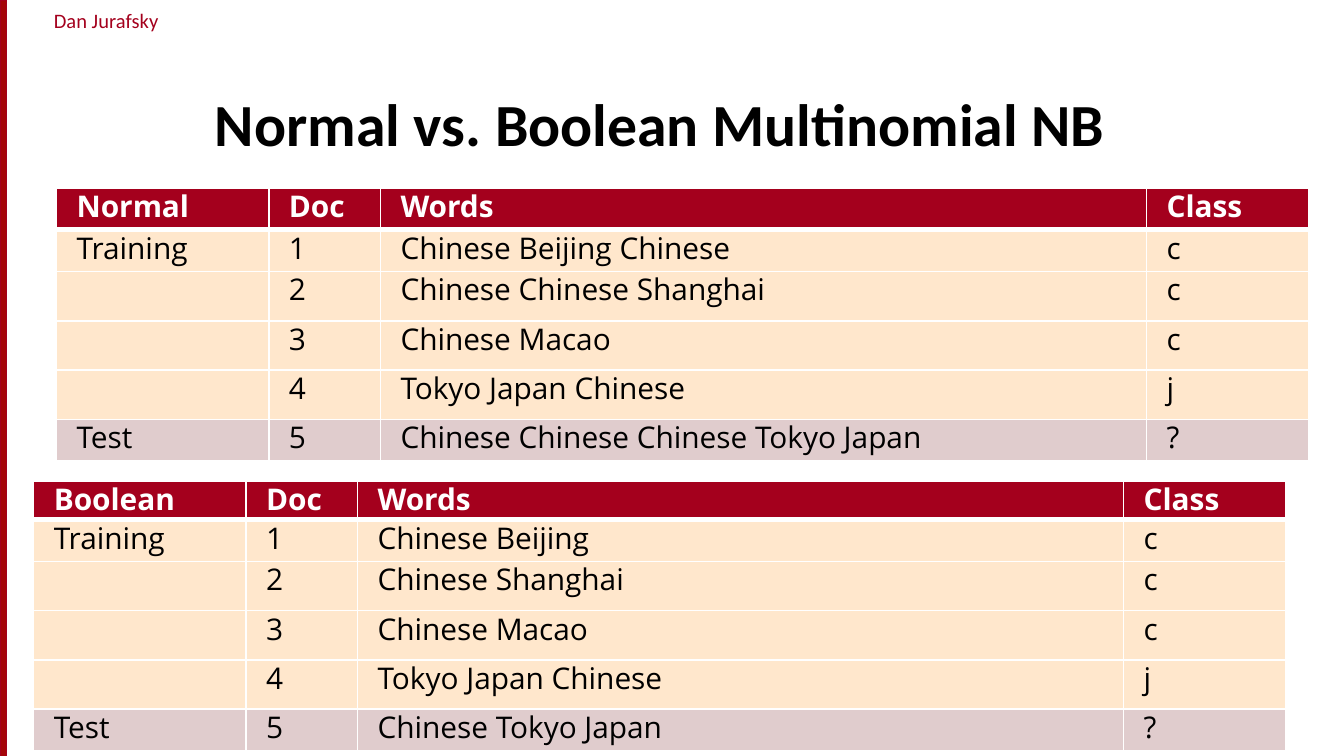
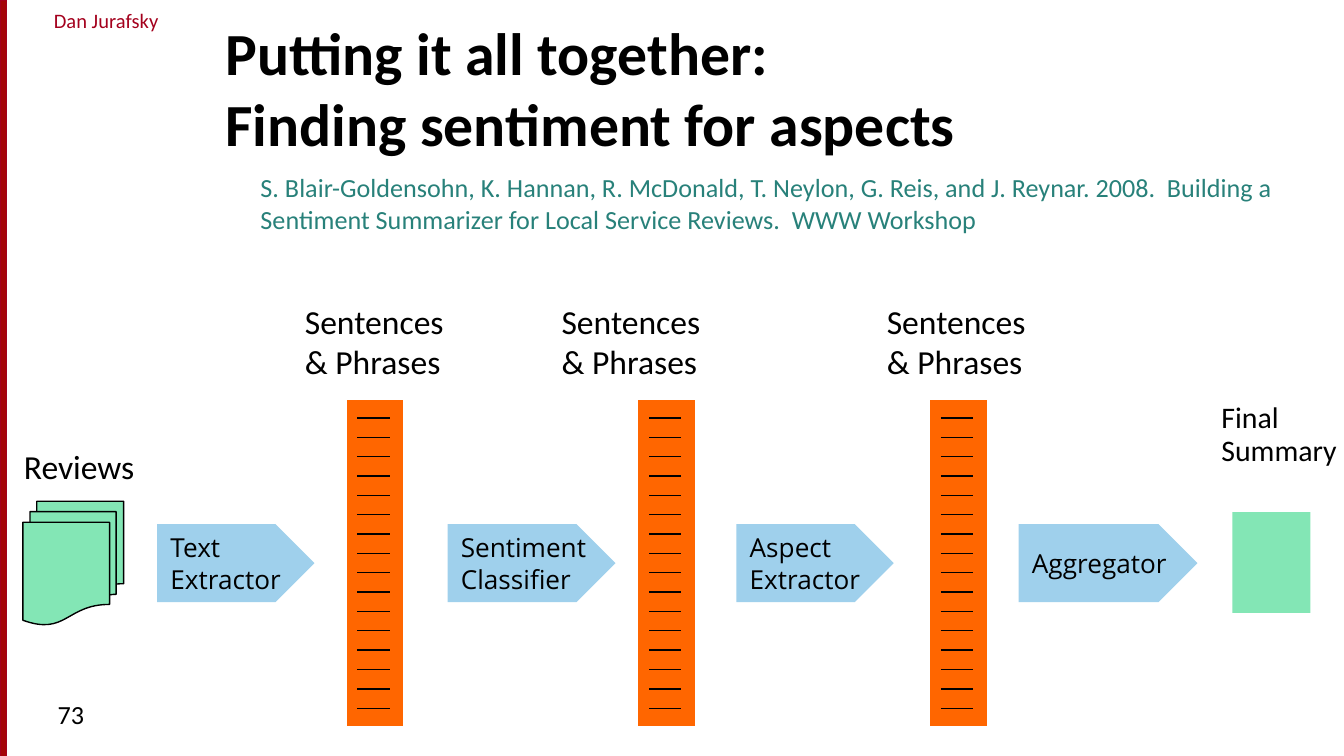
from lxml.etree import SubElement
from pptx import Presentation
from pptx.dml.color import RGBColor
from pptx.enum.shapes import MSO_CONNECTOR, MSO_SHAPE
from pptx.enum.text import MSO_ANCHOR, MSO_AUTO_SIZE, PP_ALIGN
from pptx.oxml.ns import qn
from pptx.util import Inches, Pt

RED, BLACK, WHITE = "A4001D", "000000", "FFFFFF"
SAND, ROSE, TEAL = "FFE7CC", "E0CCCD", "28817A"
MINT, ORANGE, SKY = "83E6B5", "FF6600", "9FD0EC"
hue = RGBColor.from_string


def write(frame, text, size, color=BLACK, font="Calibri", bold=False, wrap=True, space=None):
    """Fill a text frame: \\n starts a paragraph, | breaks a line."""
    frame.word_wrap = wrap
    for i, line in enumerate(text.split("\n")):
        para = frame.add_paragraph() if i else frame.paragraphs[0]
        para.alignment = PP_ALIGN.LEFT
        para.line_spacing = space
        for j, part in enumerate(line.split("|")):
            if j:
                para.add_line_break()
            run = para.add_run()
            run.text = part
            run.font.size = Pt(size)
            run.font.name = font
            run.font.bold = bold
            run.font.color.rgb = hue(color)


def draw(shapes, kind, box, fill, line=None):
    """Add a flat preset shape; box is left, top, width, height in inches."""
    shape = shapes.add_shape(kind, *map(Inches, box))
    shape.shadow.inherit = False
    shape.fill.solid()
    shape.fill.fore_color.rgb = hue(fill)
    if line:
        shape.line.color.rgb = hue(line)
        shape.line.width = Pt(0.75)
    else:
        shape.line.fill.background()
    return shape


deck = Presentation()
deck.slide_width = Inches(10)
deck.slide_height = deck.slide_width * 9 // 16

# Shared author line, side band and title
titles = [
    ("Normal vs. Boolean Multinomial NB", (1.5, 0.42, 8.17, 0.81)),
    ("Putting it all together:|Finding sentiment for aspects", (1.58, 0.15, 8.17, 1.08)),
]
for text, box in titles:
    slide = deck.slides.add_slide(deck.slide_layouts[6])
    frame = slide.shapes.add_textbox(*map(Inches, (0.08, 0.01, 1.42, 0.29))).text_frame
    write(frame, "Dan Jurafsky", 11, RED)
    frame.margin_left = frame.margin_right = 0
    frame.paragraphs[0].alignment = PP_ALIGN.CENTER
    band = draw(slide.shapes, MSO_SHAPE.RECTANGLE, (-2.79, 2.79, 5.63, 0.05), "A40508", RED)
    band.rotation = 90
    frame = slide.shapes.add_textbox(*map(Inches, box)).text_frame
    write(frame, text, 32, bold=True)
    frame.vertical_anchor = MSO_ANCHOR.BOTTOM

# Slide 1: two word tables
first, second = deck.slides
classes = ["c", "c", "c", "j", "?"]
tables = [
    ("Normal", 0.42, 1.4, 0.31, [
        "Chinese Beijing Chinese", "Chinese Chinese Shanghai", "Chinese Macao",
        "Tokyo Japan Chinese", "Chinese Chinese Chinese Tokyo Japan"]),
    ("Boolean", 0.25, 3.58, 0.14, [
        "Chinese Beijing", "Chinese Shanghai", "Chinese Macao",
        "Tokyo Japan Chinese", "Chinese Tokyo Japan"]),
]
for name, left, top, high, words in tables:
    rows = [(name, "Doc", "Words", "Class")]
    sets = ["Training", "", "", "", "Test"]
    for i, (group, text, label) in enumerate(zip(sets, words, classes), 1):
        rows.append((group, str(i), text, label))
    holder = first.shapes.add_table(6, 4, *map(Inches, (left, top, 9.33, 1.83)))
    table = holder.table
    for col, width in zip(table.columns, (1.58, 0.83, 5.7, 1.21)):
        col.width = Inches(width)
    for r, row in enumerate(rows):
        head = r == 0
        table.rows[r].height = Inches(high if head else 0.31)
        for c, text in enumerate(row):
            cell = table.cell(r, c)
            cell.margin_left = cell.margin_right = Inches(0.15)
            if text:
                write(cell.text_frame, text, 16, WHITE if head else BLACK,
                      "Open Sans", head, space=0.7)
            else:
                para = cell.text_frame.paragraphs[0]
                SubElement(para._p, qn("a:endParaRPr"), sz="1600")
            for side in "LRTB":
                thick = (r, side) in ((0, "B"), (1, "T"))
                edge = SubElement(cell._tc.get_or_add_tcPr(), qn("a:ln" + side),
                                  w=str(Pt(3 if thick else 1)))
                paint = SubElement(edge, qn("a:solidFill"))
                SubElement(paint, qn("a:srgbClr"), val=WHITE)
            cell.fill.solid()
            cell.fill.fore_color.rgb = hue(RED if head else ROSE if r == 5 else SAND)
    holder.width, holder.height = Inches(9.33), Inches(1.83)

# Slide 2: sentiment pipeline
shapes = second.shapes
frame = shapes.add_textbox(*map(Inches, (0.33, 5.15, 2.17, 0.38))).text_frame
write(frame, "73", 14)
draw(shapes, MSO_SHAPE.FLOWCHART_MULTIDOCUMENT, (0.17, 3.73, 0.75, 0.92), MINT, BLACK)
draw(shapes, MSO_SHAPE.RECTANGLE, (9.17, 3.81, 0.58, 0.75), MINT)

for left in (4.75, 2.58, 6.92):
    stack = shapes.add_group_shape().shapes
    draw(stack, MSO_SHAPE.FLOWCHART_PROCESS, (left, 2.98, 0.42, 2.42), ORANGE)
    for i in range(16):
        y = Inches(3.11 + i * 2.16 / 15)
        rung = stack.add_connector(
            MSO_CONNECTOR.STRAIGHT, Inches(left + 0.08), y, Inches(left + 0.32), y)
        rung.line.color.rgb = hue(BLACK)
        rung.line.width = Pt(0.75)
        SubElement(rung._element.spPr, qn("a:effectLst"))

phrases = "Sentences\n& Phrases"
labels = [
    ("Reviews", (0.08, 3.27, 1.04, 0.4), 18, None),
    ("Final\nSummary", (8.99, 2.95, 1.07, 0.59), 16, 0.9),
]
labels += [(phrases, (x, 2.19, 1.25, 0.71), 18, None) for x in (6.5, 2.17, 4.08)]
for text, box, size, space in labels:
    frame = shapes.add_textbox(*map(Inches, box)).text_frame
    write(frame, text, size, wrap=False, space=space)
    frame.auto_size = MSO_AUTO_SIZE.SHAPE_TO_FIT_TEXT

steps = [
    ("Text\nExtractor", 1.17, 1.17),
    ("Sentiment\nClassifier", 3.33, 1.25),
    ("Aspect\nExtractor", 5.48, 1.17),
    ("Aggregator", 7.58, 1.33),
]
for text, left, width in steps:
    step = draw(shapes, MSO_SHAPE.PENTAGON, (left, 3.9, width, 0.58), SKY)
    write(step.text_frame, text, 14, font="Open Sans", wrap=False)
    step.text_frame.vertical_anchor = MSO_ANCHOR.MIDDLE

source = ("S. Blair-Goldensohn, K. Hannan, R. McDonald, T. Neylon, G. Reis, and J. Reynar. "
          "2008.  Building a Sentiment Summarizer for Local Service Reviews.  WWW Workshop")
frame = shapes.add_textbox(*map(Inches, (1.84, 1.23, 8.16, 0.57))).text_frame
write(frame, source, 14, TEAL)
frame.auto_size = MSO_AUTO_SIZE.SHAPE_TO_FIT_TEXT

deck.save("out.pptx")
